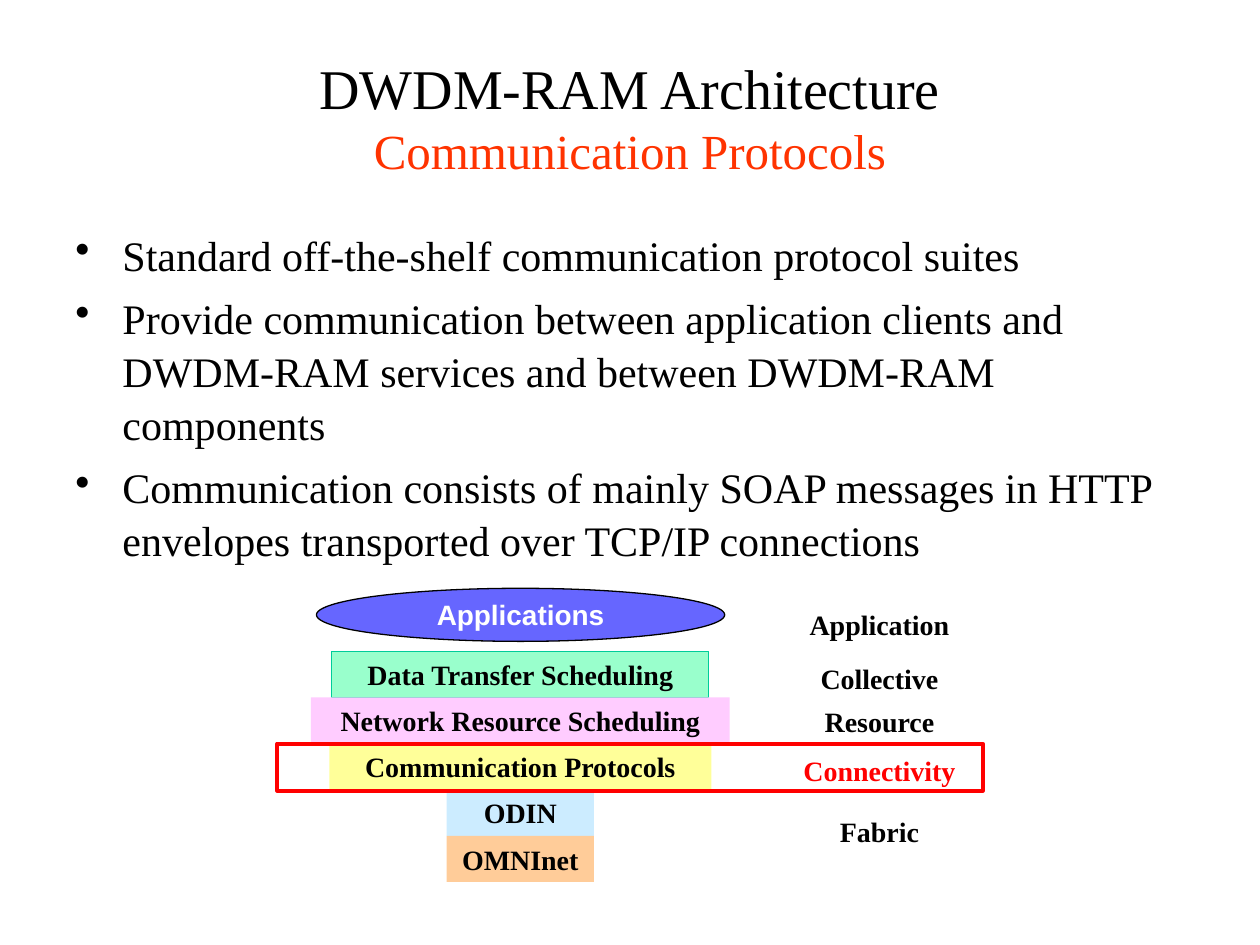
from pptx import Presentation
from pptx.dml.color import RGBColor
from pptx.enum.shapes import MSO_SHAPE
from pptx.enum.text import MSO_ANCHOR, PP_ALIGN
from pptx.oxml.ns import qn
from pptx.util import Cm, Pt
from lxml import etree

RECTANGLE, OVAL = MSO_SHAPE.RECTANGLE, MSO_SHAPE.OVAL
TOP, MIDDLE = MSO_ANCHOR.TOP, MSO_ANCHOR.MIDDLE
CENTER, LEFT = PP_ALIGN.CENTER, PP_ALIGN.LEFT
TITLE_ONLY = 5

THEME = {
    "serif": "Times New Roman", "sans": "Arial",
    "title": 32, "subtitle": 28, "body": 24, "label": 16,
    "text": "000000", "paper": "FFFFFF", "accent": "FF3300", "focus": "FF0000",
    "oval": "6666FF", "edge": "00CC99",
}

TITLE = [("DWDM-RAM Architecture", "title", "text"),
         ("Communication Protocols", "subtitle", "accent")]
BULLETS = [
    "Standard off-the-shelf communication protocol suites",
    "Provide communication between application clients and DWDM-RAM services "
    "and between DWDM-RAM components",
    "Communication consists of mainly SOAP messages in HTTP envelopes "
    "transported over TCP/IP connections",
]
STACK = [
    ("Data Transfer Scheduling", 7.6, "99FFCC", THEME["edge"]),
    ("Network Resource Scheduling", 8.44, "FFCCFF", None),
    ("Communication Protocols", 7.7, "FFFF99", None),
    ("ODIN", 2.97, "CCECFF", None),
    ("OMNInet", 2.97, "FFCC99", None),
]
LAYERS = [("Application", 12.12, "text"), ("Collective", 13.2, "text"),
          ("Resource", 14.07, "text"), ("Connectivity", 15.06, "focus"),
          ("Fabric", 16.29, "text")]

STACK_CENTER, STACK_TOP, ROW = 10.49, 13.13, 0.93
LAYER_LEFT, LAYER_WIDTH = 15.88, 3.7
BULLET_INDENT = 0.95


def rgb(value):
    return RGBColor.from_string(value)


def apply(target, values):
    for name, value in values.items():
        setattr(target, name, value)


def style(font, size, color, face="serif", bold=False):
    apply(font, {"name": THEME[face], "size": Pt(THEME[size]), "bold": bold})
    font.color.rgb = rgb(THEME[color])


def place(shape, left, top, width, height):
    apply(shape, {"left": Cm(left), "top": Cm(top),
                  "width": Cm(width), "height": Cm(height)})


def add_box(page, kind, area, fill=None, line=None, weight=0.75):
    box = page.shapes.add_shape(kind, *map(Cm, area))
    box.shadow.inherit = False
    if fill:
        box.fill.solid()
        box.fill.fore_color.rgb = rgb(fill)
    else:
        box.fill.background()
    if line:
        box.line.color.rgb = rgb(line)
        box.line.width = Pt(weight)
    else:
        box.line.fill.background()
    return box


def write_label(box, text, color="text", face="serif", wrap=True):
    apply(box.text_frame, {"word_wrap": wrap, "vertical_anchor": MIDDLE})
    para = box.text_frame.paragraphs[0]
    para.alignment = CENTER
    span = para.add_run()
    span.text = text
    style(span.font, "label", color, face, True)


def add_title(page):
    title = page.shapes.title
    place(title, 1.27, 0.76, 22.86, 3.18)
    apply(title.text_frame, {"word_wrap": True, "vertical_anchor": MIDDLE})
    para = title.text_frame.paragraphs[0]
    para.alignment = CENTER
    for index, (text, size, color) in enumerate(TITLE):
        if index:
            para.add_line_break()
        span = para.add_run()
        span.text = text
        style(span.font, size, color)


def add_bullets(page):
    box = page.shapes.add_textbox(Cm(1.27), Cm(4.45), Cm(22.86), Cm(8.23))
    apply(box.text_frame, {"word_wrap": True, "vertical_anchor": TOP})
    for index, text in enumerate(BULLETS):
        para = box.text_frame.paragraphs[0] if index == 0 else box.text_frame.add_paragraph()
        apply(para, {"alignment": LEFT, "line_spacing": 1.05,
                     "space_before": Pt(6 if index else 0)})
        properties = para._p.get_or_add_pPr()
        properties.set("marL", str(Cm(BULLET_INDENT)))
        properties.set("indent", str(-Cm(BULLET_INDENT)))
        etree.SubElement(properties, qn("a:buChar")).set("char", "•")
        span = para.add_run()
        span.text = text
        style(span.font, "body", "text")


def add_stack(page):
    oval = add_box(page, OVAL, (6.38, 11.86, 8.23, 1.07), THEME["oval"], THEME["text"])
    write_label(oval, "Applications", "paper", "sans", False)
    for row, (text, width, fill, line) in enumerate(STACK):
        area = (STACK_CENTER - width / 2, STACK_TOP + row * ROW, width, ROW)
        write_label(add_box(page, RECTANGLE, area, fill, line), text)


def add_layers(page):
    for text, top, color in LAYERS:
        box = page.shapes.add_textbox(Cm(LAYER_LEFT), Cm(top), Cm(LAYER_WIDTH), Cm(ROW))
        write_label(box, text, color)
    add_box(page, RECTANGLE, (5.59, 14.99, 14.22, ROW + 0.02), None, THEME["focus"], 2.25)


def main():
    deck = Presentation()
    apply(deck, {"slide_width": Cm(25.4), "slide_height": Cm(19.05)})
    page = deck.slides.add_slide(deck.slide_layouts[TITLE_ONLY])
    page.background.fill.solid()
    page.background.fill.fore_color.rgb = rgb(THEME["paper"])
    add_title(page)
    add_bullets(page)
    add_stack(page)
    add_layers(page)
    deck.save("out.pptx")


if __name__ == "__main__":
    main()
